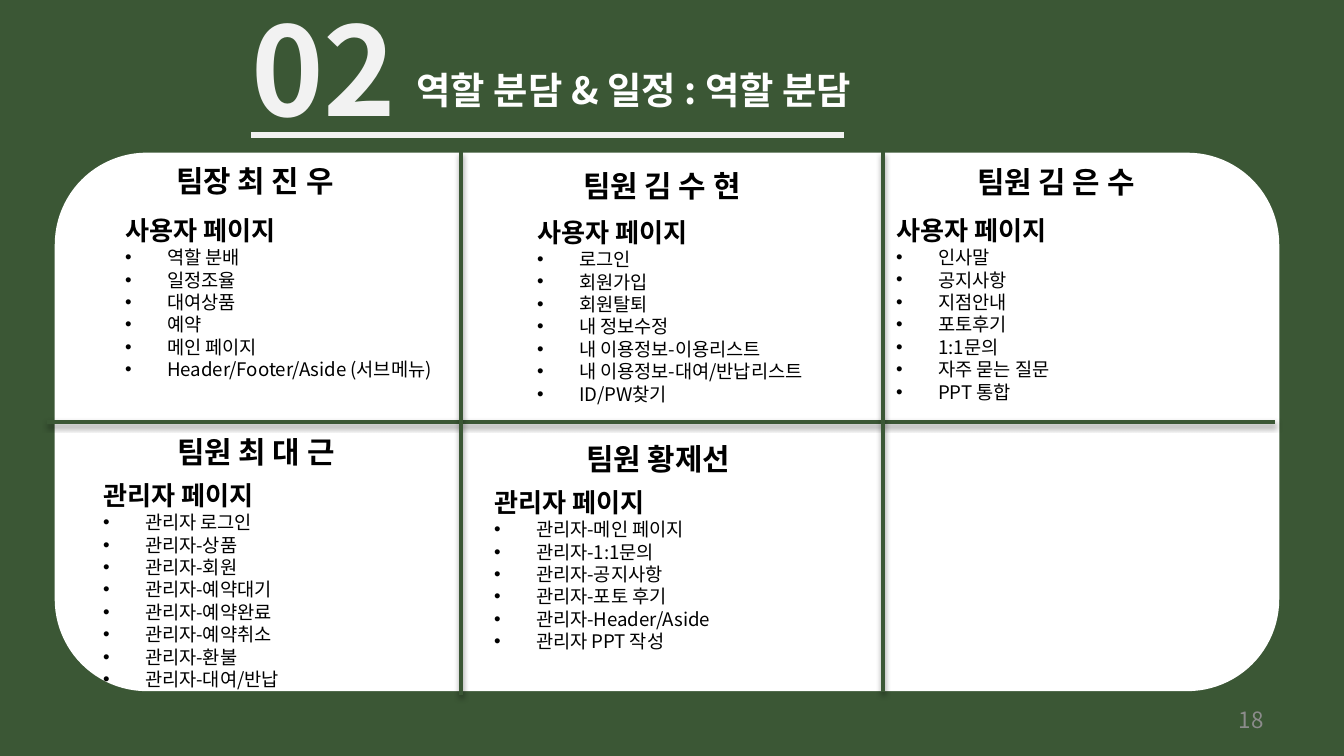
"""Build the slide that shares out the project's pages among five team members."""
from lxml.etree import SubElement
from pptx import Presentation
from pptx.dml.color import RGBColor
from pptx.enum.shapes import MSO_CONNECTOR, MSO_SHAPE
from pptx.enum.text import MSO_ANCHOR, MSO_AUTO_SIZE, PP_ALIGN
from pptx.oxml.ns import qn
from pptx.util import Pt

PX = 914400 / 134.4
FONT = "Noto Sans CJK KR"
COLORS = {"green": "3B5735", "white": "FFFFFF", "number": "F2F2F2",
          "page": "8C8C8C", "text": "000000", "shadow": "000000"}


def px(*lengths):
    return [round(length * PX) for length in lengths]


def style(paragraph, size, color, bold=False):
    for run in paragraph.runs:
        run.font.size = Pt(size)
        run.font.bold = bold
        run.font.name = FONT
        run.font.color.rgb = RGBColor.from_string(COLORS[color])
        SubElement(run.font._element, qn("a:ea"), typeface=FONT)


prs = Presentation()
prs.slide_width, prs.slide_height = px(1344, 756)
slide = prs.slides.add_slide(prs.slide_layouts[5])
slide.background.fill.solid()
slide.background.fill.fore_color.rgb = RGBColor.from_string(COLORS["green"])

heading = slide.shapes.title
heading.left, heading.top, heading.width, heading.height = px(403, 60, 731, 59)
heading.text_frame.text = "역할 분담 & 일정 : 역할 분담"
heading.text_frame.auto_size = MSO_AUTO_SIZE.NONE
heading.text_frame.vertical_anchor = MSO_ANCHOR.TOP
heading.text_frame.paragraphs[0].alignment = PP_ALIGN.LEFT
style(heading.text_frame.paragraphs[0], 20, "white", True)

card = slide.shapes.add_shape(MSO_SHAPE.ROUNDED_RECTANGLE, *px(58, 156, 1218, 532))
card.shadow.inherit = False
card.fill.solid()
card.fill.fore_color.rgb = RGBColor.from_string(COLORS["white"])
card.line.color.rgb = RGBColor.from_string(COLORS["white"])
card.line.width = Pt(3.5)

page_number = slide.shapes.add_textbox(*px(964, 700, 313, 40)).text_frame
page_number.word_wrap = True
page_number.vertical_anchor = MSO_ANCHOR.MIDDLE
page_number.text = "18"
page_number.paragraphs[0].alignment = PP_ALIGN.RIGHT
style(page_number.paragraphs[0], 12, "page")

section_number = slide.shapes.add_textbox(*px(238, -13, 872, 163)).text_frame
section_number.word_wrap = True
section_number.text = "02"
style(section_number.paragraphs[0], 66, "number", True)

rules = [
    ((251, 135, 844, 135), "number", 3.25, False),
    ((47, 422, 1275, 422), "green", 2, True),
    ((461, 695, 461, 152), "green", 2, True),
    ((883, 692, 883, 152), "green", 2, True),
]
for ends, color, weight, shadowed in rules:
    rule = slide.shapes.add_connector(MSO_CONNECTOR.STRAIGHT, *px(*ends))
    rule.line.color.rgb = RGBColor.from_string(COLORS[color])
    rule.line.width = Pt(weight)
    effects = SubElement(rule._element.spPr, qn("a:effectLst"))
    if shadowed:
        shadow = SubElement(effects, qn("a:outerShdw"), blurRad=str(Pt(3.1)),
                            dist=str(Pt(1.6)), dir="5400000", rotWithShape="0")
        tint = SubElement(shadow, qn("a:srgbClr"), val=COLORS["shadow"])
        SubElement(tint, qn("a:alpha"), val="38000")

members = [
    ("팀장 최 진 우", (163, 156, 210, 50), "사용자 페이지", (112, 208, 380, 181),
     ["역할 분배", "일정조율", "대여상품", "예약", "메인 페이지",
      "Header/Footer/Aside (서브메뉴)"]),
    ("팀원 김 수 현", (570, 161, 210, 50), "사용자 페이지", (524, 210, 380, 203),
     ["로그인", "회원가입", "회원탈퇴", "내 정보수정", "내 이용정보-이용리스트",
      "내 이용정보-대여/반납리스트", "ID/PW찾기"]),
    ("팀원 김 은 수", (964, 157, 210, 50), "사용자 페이지", (883, 208, 380, 203),
     ["인사말", "공지사항", "지점안내", "포토후기", "1:1문의", "자주 묻는 질문",
      "PPT 통합"]),
    ("팀원 최 대 근", (164, 427, 210, 50), "관리자 페이지", (90, 473, 380, 226),
     ["관리자 로그인", "관리자-상품", "관리자-회원", "관리자-예약대기",
      "관리자-예약완료", "관리자-예약취소", "관리자-환불", "관리자-대여/반납"]),
    ("팀원 황제선", (573, 434, 188, 50), "관리자 페이지", (481, 480, 380, 212),
     ["관리자-메인 페이지", "관리자-1:1문의", "관리자-공지사항", "관리자-포토 후기",
      "관리자-Header/Aside", "관리자 PPT 작성"]),
]
indent = px(42)[0]
for member, name_area, area, duty_area, duties in members:
    name = slide.shapes.add_textbox(*px(*name_area)).text_frame
    name.word_wrap = False
    name.text = member
    style(name.paragraphs[0], 16, "text", True)

    duty_list = slide.shapes.add_textbox(*px(*duty_area)).text_frame
    duty_list.word_wrap = True
    duty_list.text = area
    style(duty_list.paragraphs[0], 14, "text", True)
    for duty in duties:
        item = duty_list.add_paragraph()
        item.text = duty
        properties = item._p.get_or_add_pPr()
        properties.set("marL", str(indent))
        properties.set("indent", str(-indent))
        SubElement(properties, qn("a:buFont"), typeface="Arial")
        SubElement(properties, qn("a:buChar"), char="•")
        style(item, 10, "text")

prs.save("out.pptx")
